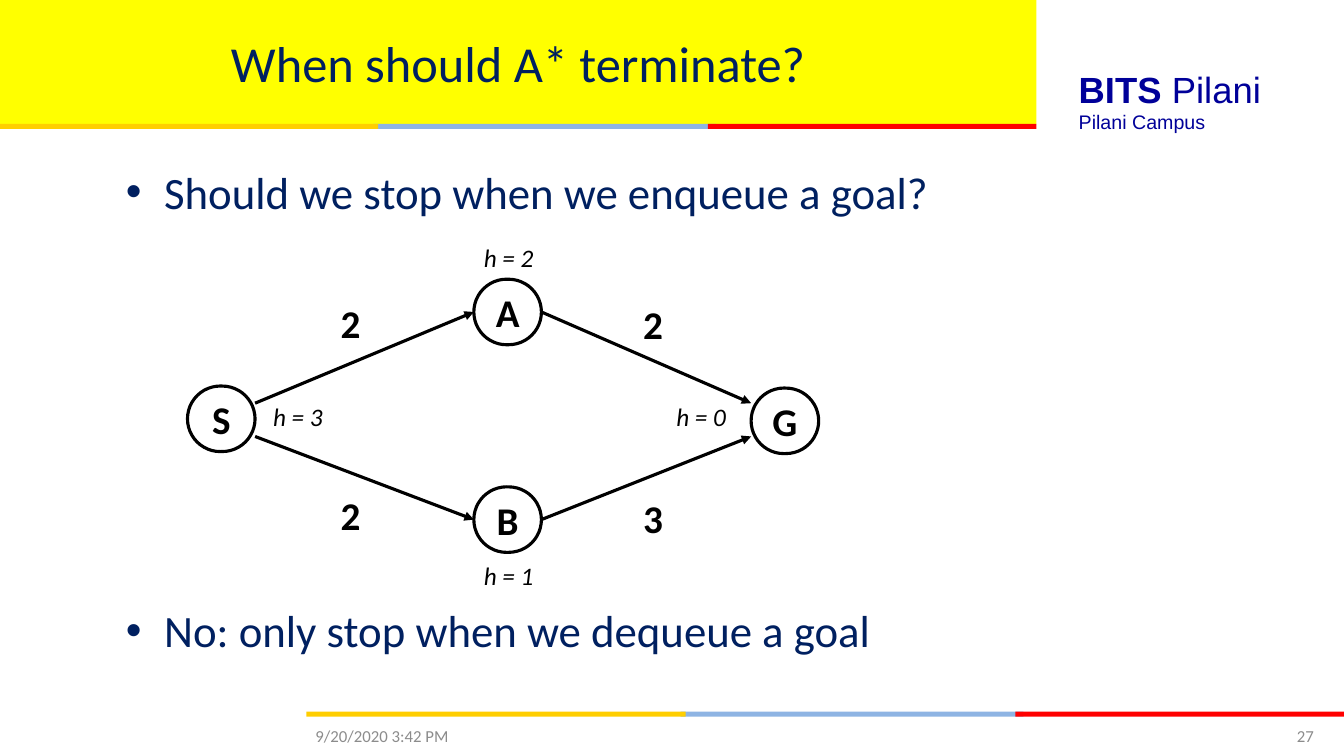
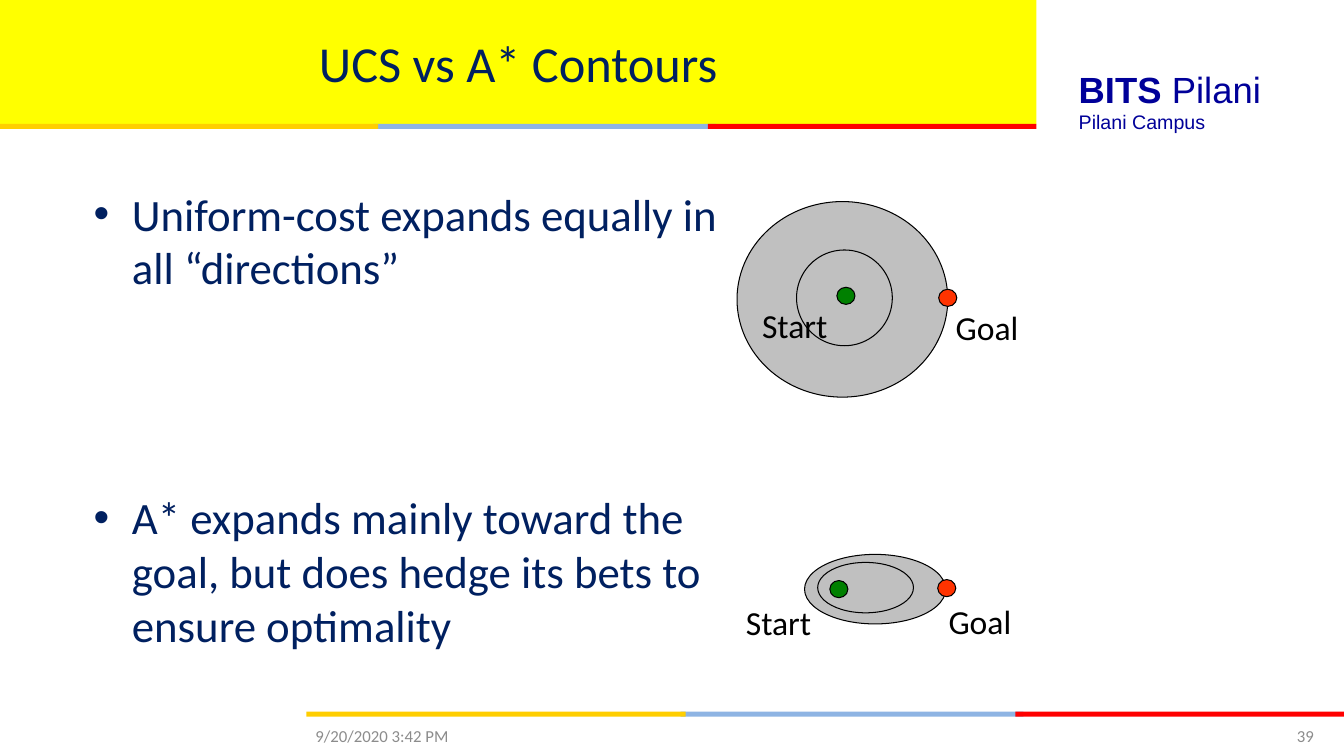
from lxml import etree
from pptx import Presentation
from pptx.dml.color import RGBColor
from pptx.enum.shapes import MSO_CONNECTOR, MSO_SHAPE
from pptx.enum.text import MSO_ANCHOR, PP_ALIGN
from pptx.oxml.ns import qn
from pptx.util import Inches, Pt

RECT, OVAL, ROUND = MSO_SHAPE.RECTANGLE, MSO_SHAPE.OVAL, MSO_SHAPE.ROUNDED_RECTANGLE
LINE = MSO_CONNECTOR.STRAIGHT
TOP, MID = MSO_ANCHOR.TOP, MSO_ANCHOR.MIDDLE
LEFT, CENTER, RIGHT = PP_ALIGN.LEFT, PP_ALIGN.CENTER, PP_ALIGN.RIGHT
SIDE_L, SIDE_R = 1, 3

NAVY, BLACK, GRAY, INDIGO = "002060", "000000", "8C8C8C", "000099"
YELLOW, SILVER, GREEN, ORANGE = "FFFF00", "C0C0C0", "008000", "FF3300"
BAND = [(3.71, 3.4, "8EB4E3"), (7.03, 3.26, "FF0000"), (0, 3.76, "FFCE00")]
BANDS = [(-0.01, 1.23), (3.04, 7.06)]
DATE = "9/20/2020 3:42 PM"

STOP = {
    "title": "When should A* terminate?",
    "page": "27",
    "box": (1.15, 1.58, 10.64, 4.99),
    "gap": 275,
    "items": ["Should we stop when we enqueue a goal?",
              "No: only stop when we dequeue a goal"],
}
NODES = {"S": (1.86, 3.83), "B": (4.7, 4.83), "A": (4.7, 2.77), "G": (7.45, 3.85)}
NODE_W, NODE_H = 0.67, 0.65
EDGES = [((2.53, 4), "A"), ((2.53, 4.33), "B"), ("A", (7.45, 4)), ("B", (7.45, 4.33))]
COSTS = [("2", 3.28, 2.92), ("3", 6.28, 4.85), ("2", 6.28, 2.93), ("2", 3.28, 4.83)]
HINTS = [("h = 1", 4.7, 5.51), ("h = 2", 4.7, 2.35),
         ("h = 0", 6.61, 3.93), ("h = 3", 2.61, 3.93)]

RINGS = {
    "title": "UCS vs A* Contours",
    "page": "39",
    "box": (0.83, 1.8, 6.45, 4.95),
    "gap": 140,
    "items": ["Uniform-cost expands equally in all “directions”",
              "A* expands mainly toward the goal, but does hedge its bets to ensure optimality"],
}
MAPS = [
    {"outer": (7.31, 2, 2.09, 1.94), "inner": (7.9, 2.48, 0.95, 0.95),
     "dots": [("Start", GREEN, (8.3, 2.85), (7.46, 2.98)),
              ("Goal", ORANGE, (9.31, 2.87), (9.38, 3))]},
    {"outer": (7.98, 5.5, 1.4, 0.69), "inner": (8.11, 5.58, 0.95, 0.5),
     "dots": [("Start", GREEN, (8.23, 5.76), (7.3, 5.92)),
              ("Goal", ORANGE, (9.3, 5.75), (9.31, 5.91))]},
]


def color(code):
    return RGBColor.from_string(code)


def inch(box):
    return [Inches(n) for n in box]


def write(para, text, size, code, bold=False, ital=False, face="Calibri"):
    run = para.add_run()
    run.text = text
    font = run.font
    font.name, font.size, font.bold, font.italic = face, Pt(size), bold, ital
    font.color.rgb = color(code)


def shape(slide, kind, box, fill=None, width=None):
    item = slide.shapes.add_shape(kind, *inch(box))
    item.shadow.inherit = False
    if fill:
        item.fill.solid()
        item.fill.fore_color.rgb = color(fill)
    else:
        item.fill.background()
    if width:
        item.line.color.rgb = color(BLACK)
        item.line.width = Pt(width)
    else:
        item.line.fill.background()
    return item


def frame(slide, box, anchor=TOP):
    body = slide.shapes.add_textbox(*inch(box)).text_frame
    body.word_wrap = True
    body.vertical_anchor = anchor
    return body


def label(slide, box, text, size, code, anchor=TOP, align=LEFT, **style):
    para = frame(slide, box, anchor).paragraphs[0]
    para.alignment = align
    write(para, text, size, code, **style)
    return para


def bullets(slide, page):
    body = frame(slide, page["box"])
    for num, text in enumerate(page["items"]):
        para = body.add_paragraph() if num else body.paragraphs[0]
        props = para._p.get_or_add_pPr()
        props.set("marL", str(Inches(0.38)))
        props.set("indent", str(Inches(-0.38)))
        etree.SubElement(props, qn("a:buFont")).set("typeface", "Arial")
        etree.SubElement(props, qn("a:buChar")).set("char", "•")
        if num:
            para.space_before = Pt(page["gap"])
        write(para, text, 32, NAVY)


def base(deck, page):
    slide = deck.slides.add_slide(deck.slide_layouts[5])
    title = slide.shapes.title
    title.left, title.top, title.width, title.height = inch((0, 0, 10.28, 1.23))
    title.fill.solid()
    title.fill.fore_color.rgb = color(YELLOW)
    title.text_frame.vertical_anchor = MID
    para = title.text_frame.paragraphs[0]
    para.alignment = CENTER
    write(para, page["title"], 36, NAVY)
    for left, top in BANDS:
        for shift, width, fill in BAND:
            shape(slide, RECT, (left + shift, top, width, 0.05), fill)
    name = label(slide, (10.6, 0.62, 2.95, 0.54), "BITS ", 26, INDIGO, bold=True, face="Arial")
    write(name, "Pilani", 26, INDIGO, face="Arial")
    label(slide, (10.6, 1.04, 2.39, 0.34), "Pilani Campus", 14, INDIGO, face="Arial")
    label(slide, (3.03, 7.1, 3.11, 0.4), DATE, 12, GRAY, MID)
    label(slide, (11.67, 7.1, 1.46, 0.4), page["page"], 12, GRAY, MID, RIGHT)
    bullets(slide, page)
    return slide


def arrow(slide, start, end, nodes):
    first = (0, 0) if start in nodes else start
    last = (0, 0) if end in nodes else end
    link = slide.shapes.add_connector(LINE, *inch(first + last))
    if start in nodes:
        link.begin_connect(nodes[start], SIDE_R)
    if end in nodes:
        link.end_connect(nodes[end], SIDE_L)
    link.line.color.rgb = color(BLACK)
    link.line.width = Pt(2.25)
    etree.SubElement(link.line._get_or_add_ln(), qn("a:tailEnd")).set("type", "triangle")
    etree.SubElement(link._element.spPr, qn("a:effectLst"))


def graph(slide):
    nodes = {}
    for name, spot in NODES.items():
        node = shape(slide, ROUND, spot + (NODE_W, NODE_H), width=2.25)
        node.adjustments[0] = 0.5
        node.text_frame.word_wrap = False
        node.text_frame.vertical_anchor = MID
        para = node.text_frame.paragraphs[0]
        para.alignment = CENTER
        write(para, name, 28, BLACK, bold=True)
        nodes[name] = node
    for start, end in EDGES:
        arrow(slide, start, end, nodes)
    for text, left, top in COSTS:
        label(slide, (left, top, 0.5, 0.57), text, 28, BLACK, bold=True)
    for text, left, top in HINTS:
        label(slide, (left, top, 1, 0.4), text, 18, BLACK, ital=True)


def contour(slide, plan):
    shape(slide, OVAL, plan["outer"], SILVER, 0.75)
    for text, fill, dot, spot in plan["dots"]:
        shape(slide, OVAL, dot + (0.18, 0.17), fill, 0.75)
        label(slide, spot + (1, 0.5), text, 24, BLACK)
    shape(slide, OVAL, plan["inner"], width=0.75)


def main():
    deck = Presentation()
    deck.slide_width, deck.slide_height = Inches(13.33), Inches(7.5)
    graph(base(deck, STOP))
    slide = base(deck, RINGS)
    for plan in MAPS:
        contour(slide, plan)
    deck.save("out.pptx")


if __name__ == "__main__":
    main()
